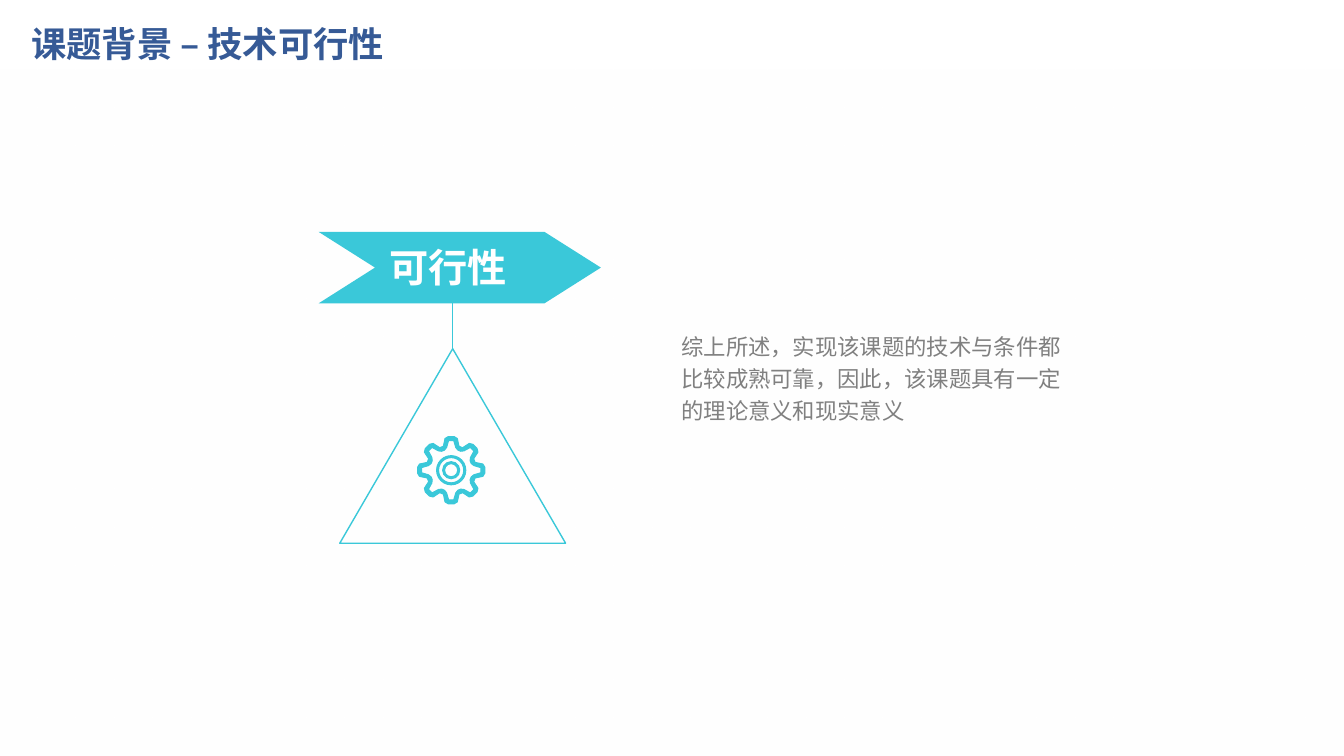
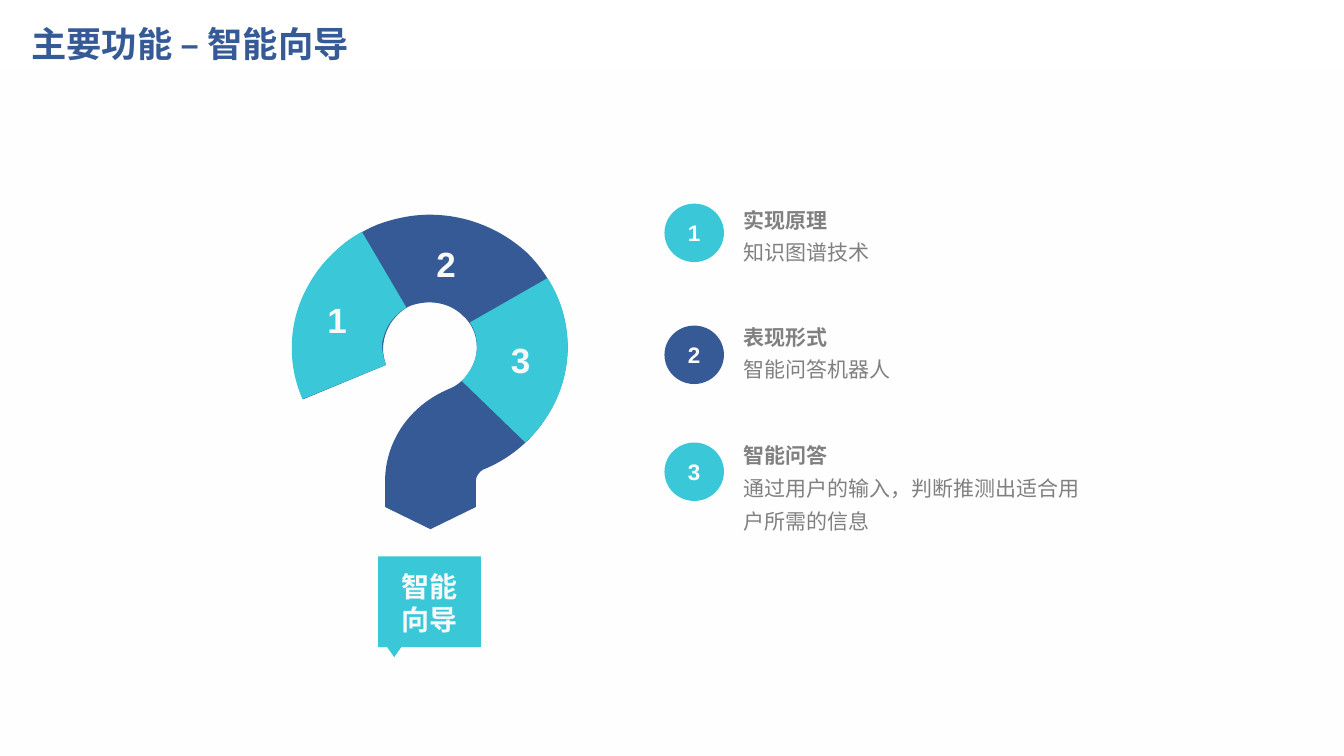
from math import cos, radians, sin

from lxml import etree
from pptx import Presentation
from pptx.dml.color import RGBColor
from pptx.enum.shapes import MSO_CONNECTOR, MSO_SHAPE
from pptx.enum.text import MSO_ANCHOR, MSO_AUTO_SIZE, PP_ALIGN
from pptx.oxml.ns import qn
from pptx.util import Inches, Pt

# Shared look
BLUE = RGBColor(0x36, 0x5A, 0x96)
CYAN = RGBColor(0x3A, 0xC8, 0xD9)
GRAY = RGBColor(0x80, 0x80, 0x80)
PALE = RGBColor(0xF8, 0xF8, 0xF8)
WHITE = RGBColor(0xFF, 0xFF, 0xFF)
FONT = "Arial"
CHEVRON, DONUT = MSO_SHAPE.CHEVRON, MSO_SHAPE.DONUT
OVAL, RECT = MSO_SHAPE.OVAL, MSO_SHAPE.RECTANGLE
TRIANGLE = MSO_SHAPE.ISOSCELES_TRIANGLE
STRAIGHT = MSO_CONNECTOR.STRAIGHT
LEFT, CENTER = PP_ALIGN.LEFT, PP_ALIGN.CENTER
TOP, MIDDLE = MSO_ANCHOR.TOP, MSO_ANCHOR.MIDDLE
NO_FIT = MSO_AUTO_SIZE.NONE
WIDE, HIGH = 13.33, 7.5
INSETS = (0.1, 0.05, 0.1, 0.05)
TIGHT = (0.09, 0.04, 0.09, 0.04)

# Outlines in inches: a pair is a line's end, six numbers are a curve
MARK = [
    (3.01, 3.96), (2.93, 3.79, 2.9, 3.62, 2.9, 3.46),
    (2.9, 3.2, 2.98, 2.94, 3.13, 2.73), (3.27, 2.51, 3.48, 2.34, 3.74, 2.23),
    (3.9, 2.17, 4.08, 2.13, 4.26, 2.13), (4.64, 2.13, 4.98, 2.28, 5.23, 2.51),
    (5.47, 2.75, 5.63, 3.08, 5.63, 3.45), (5.63, 3.71, 5.54, 3.96, 5.4, 4.17),
    (5.25, 4.39, 5.04, 4.56, 4.79, 4.66), (4.77, 4.67, 4.75, 4.69, 4.74, 4.71),
    (4.73, 4.72, 4.72, 4.75, 4.72, 4.77), (4.72, 5.03), (4.27, 5.25),
    (3.82, 5.03), (3.82, 4.77), (3.82, 4.58, 3.88, 4.39, 3.99, 4.23),
    (4.1, 4.07, 4.26, 3.94, 4.45, 3.86), (4.53, 3.83, 4.6, 3.77, 4.65, 3.7),
    (4.7, 3.62, 4.73, 3.54, 4.73, 3.45), (4.73, 3.32, 4.68, 3.21, 4.59, 3.13),
    (4.51, 3.05, 4.39, 3, 4.26, 3), (4.2, 3, 4.14, 3.01, 4.08, 3.03),
    (4, 3.06, 3.93, 3.13, 3.88, 3.2), (3.83, 3.28, 3.8, 3.37, 3.8, 3.46),
    (3.8, 3.51, 3.81, 3.57, 3.83, 3.62),
]
RIGHT_PART = [
    (5.43, 2.76), (5.56, 2.96, 5.63, 3.19, 5.63, 3.44),
    (5.63, 3.71, 5.55, 3.96, 5.4, 4.17), (5.35, 4.25, 5.28, 4.32, 5.21, 4.39),
    (4.58, 3.78), (4.61, 3.75, 4.63, 3.72, 4.65, 3.69),
    (4.7, 3.62, 4.73, 3.53, 4.73, 3.44), (4.73, 3.35, 4.71, 3.27, 4.66, 3.2),
]
LEFT_PART = [
    (3, 3.96), (2.91, 3.75, 2.88, 3.54, 2.9, 3.33),
    (2.92, 3.11, 3, 2.91, 3.12, 2.73), (3.18, 2.64, 3.25, 2.56, 3.33, 2.49),
    (3.41, 2.41, 3.5, 2.35, 3.59, 2.3), (4.03, 3.05),
    (4, 3.07, 3.97, 3.09, 3.95, 3.11), (3.92, 3.14, 3.89, 3.17, 3.87, 3.2),
    (3.83, 3.26, 3.8, 3.34, 3.79, 3.41), (3.79, 3.48, 3.8, 3.55, 3.83, 3.62),
]
BUBBLE = [(3.75, 5.52), (4.77, 5.52), (4.77, 6.42), (3.98, 6.42),
          (3.91, 6.52), (3.84, 6.42), (3.75, 6.42)]

# Half a gear tooth: degrees from its middle, radius
HUB = (4.475, 4.665)
RIM = [(5, 0.335), (11, 0.32), (18, 0.25)]
BORE = [(5, 0.295), (11.5, 0.23), (18.5, 0.21)]

# Badge colour, badge top, text top, text height, heading, body
ITEMS = [
    (CYAN, 2.02, 1.94, 0.71, "实现原理", "知识图谱技术"),
    (BLUE, 3.23, 3.1, 0.71, "表现形式", "智能问答机器人"),
    (CYAN, 4.39, 4.28, 1.04, "智能问答", "通过用户的输入，判断推测出适合用户所需的信息"),
]


def box(at):
    return [Inches(n) for n in at]


def write(shape, text, size, color, bold=False, align=LEFT, anchor=TOP,
          space=1.0, insets=INSETS, wrap=True):
    frame = shape.text_frame
    frame.text = text
    frame.word_wrap = wrap
    frame.auto_size = NO_FIT
    frame.vertical_anchor = anchor
    (frame.margin_left, frame.margin_top,
     frame.margin_right, frame.margin_bottom) = box(insets)
    for para in frame.paragraphs:
        para.alignment = align
        para.line_spacing = space
        for run in para.runs:
            font = run.font
            font.name, font.size, font.bold = FONT, Pt(size), bold
            font.color.rgb = color


def label(slide, at, text, size, color, **style):
    shape = slide.shapes.add_textbox(*box(at))
    write(shape, text, size, color, **style)
    return shape


def paint(shape, fill=None, line=None, width=1):
    shape.shadow.inherit = False
    if fill is None:
        shape.fill.background()
    else:
        shape.fill.solid()
        shape.fill.fore_color.rgb = fill
    if line is None:
        shape.line.fill.background()
    else:
        shape.line.color.rgb = line
        shape.line.width = Pt(width)
    return shape


def add(slide, kind, at, fill=None, line=None, width=1):
    shape = slide.shapes.add_shape(kind, *box(at))
    return paint(shape, fill, line, width)


def bend(shape, path):
    """Turn the six-number parts of a drawn outline into curves."""
    sides = list(shape._element.iter(qn("a:lnTo")))
    for side, part in zip(sides, path[1:]):
        if len(part) == 2:
            continue
        curve = etree.Element(qn("a:cubicBezTo"))
        for x, y in zip(part[::2], part[1::2]):
            point = etree.SubElement(curve, qn("a:pt"))
            point.set("x", str(Inches(x) - shape.left))
            point.set("y", str(Inches(y) - shape.top))
        side.getparent().replace(side, curve)


def outline(slide, paths, fill, line=None, width=1):
    rings = [[box(part[-2:]) for part in path] for path in paths]
    pen = slide.shapes.build_freeform(*rings[0][0])
    pen.add_line_segments(rings[0][1:], close=True)
    for ring in rings[1:]:
        pen.move_to(*ring[0])
        pen.add_line_segments(ring[1:], close=True)
    shape = pen.convert_to_shape()
    bend(shape, paths[0])
    return paint(shape, fill, line, width)


def cog(half, teeth=8):
    """Repeat a mirrored half tooth around the hub."""
    tooth = [(-a, r) for a, r in reversed(half)] + half
    spots = [(radians(360 / teeth * n + a), r)
             for n in range(teeth) for a, r in tooth]
    return [(HUB[0] + r * sin(a), HUB[1] - r * cos(a)) for a, r in spots]


def start(deck, text):
    """New slide with the shared title style."""
    slide = deck.slides.add_slide(deck.slide_layouts[5])
    title = slide.shapes.title
    title.left, title.top, title.width, title.height = box(
        (0.21, 0.22, 11.5, 0.48))
    write(title, text, 25.2, BLUE, bold=True, anchor=MIDDLE, space=0.9)
    return slide


def share(slide):
    """Draw the pale band and hand it to the layout."""
    band = add(slide, RECT, (0, 0.69, WIDE, HIGH - 0.69), WHITE)
    band.fill.gradient()
    band.fill.gradient_angle = 90
    for stop in band.fill.gradient_stops:
        stop.color.rgb = WHITE
    last = list(band._element.spPr.iter(qn("a:gs")))[-1]
    etree.SubElement(last[0], qn("a:alpha")).set("val", "84000")
    slide.slide_layout.shapes._spTree.insert(2, band._element)


def gear(slide):
    outline(slide, [cog(RIM), cog(BORE)], CYAN, CYAN, 0.75)
    for size in (0.29, 0.17):
        at = (HUB[0] - size / 2, HUB[1] - size / 2, size, size)
        ring = add(slide, DONUT, at, CYAN, CYAN, 0.75)
        ring.adjustments[0] = 0.02 / size


def feasible(deck):
    slide = start(deck, "课题背景 – 技术可行性")
    share(slide)
    # Sign
    arrow = add(slide, CHEVRON, (3.16, 2.3, 2.8, 0.71), CYAN)
    arrow.adjustments[0] = 0.56 / 0.71
    label(slide, (3.76, 2.36, 1.38, 0.57), "可行性", 28, WHITE,
          bold=True, wrap=False)
    # Summary
    label(slide, (6.66, 3.2, 4, 1.04),
          "综上所述，实现该课题的技术与条件都比较成熟可靠，"
          "因此，该课题具有一定的理论意义和现实意义", 16, GRAY, space=1.2)
    # Triangle on its stem
    frame = add(slide, TRIANGLE, (3.37, 3.46, 2.24, 1.93), line=CYAN)
    stem = slide.shapes.add_connector(STRAIGHT, *box((4.49, 3.01, 4.49, 3.46)))
    stem.end_connect(frame, 0)
    stem.line.color.rgb = CYAN
    stem.line.width = Pt(1)
    etree.SubElement(stem._element.spPr, qn("a:effectLst"))
    gear(slide)


def guide(deck):
    slide = start(deck, "主要功能 – 智能向导")
    # Caption below the question mark
    bubble = outline(slide, [BUBBLE], CYAN)
    write(bubble, "智能向导", 20, PALE, bold=True, align=CENTER,
          anchor=MIDDLE, insets=(0.21, 0, 0.21, 0.08))
    # Question mark
    for path, color in ((MARK, BLUE), (RIGHT_PART, CYAN), (LEFT_PART, CYAN)):
        outline(slide, [path], color)
    for num, (x, y) in enumerate(((3.15, 2.91), (4.23, 2.36), (4.97, 3.31)), 1):
        label(slide, (x, y, 0.33, 0.53), str(num), 25, PALE, bold=True)
    # Numbered list
    for num, (color, y, top, high, head, body) in enumerate(ITEMS, 1):
        badge = add(slide, OVAL, (6.59, y, 0.59, 0.58), color)
        write(badge, str(num), 16, WHITE, bold=True, align=CENTER,
              anchor=MIDDLE)
        note = label(slide, (7.28, top, 3.63, high), head + "\n" + body,
                     15, GRAY, space=1.3, insets=TIGHT)
        note.text_frame.paragraphs[0].runs[0].font.bold = True


def main():
    deck = Presentation()
    deck.slide_width, deck.slide_height = Inches(WIDE), Inches(HIGH)
    feasible(deck)
    guide(deck)
    deck.save("out.pptx")


if __name__ == "__main__":
    main()
